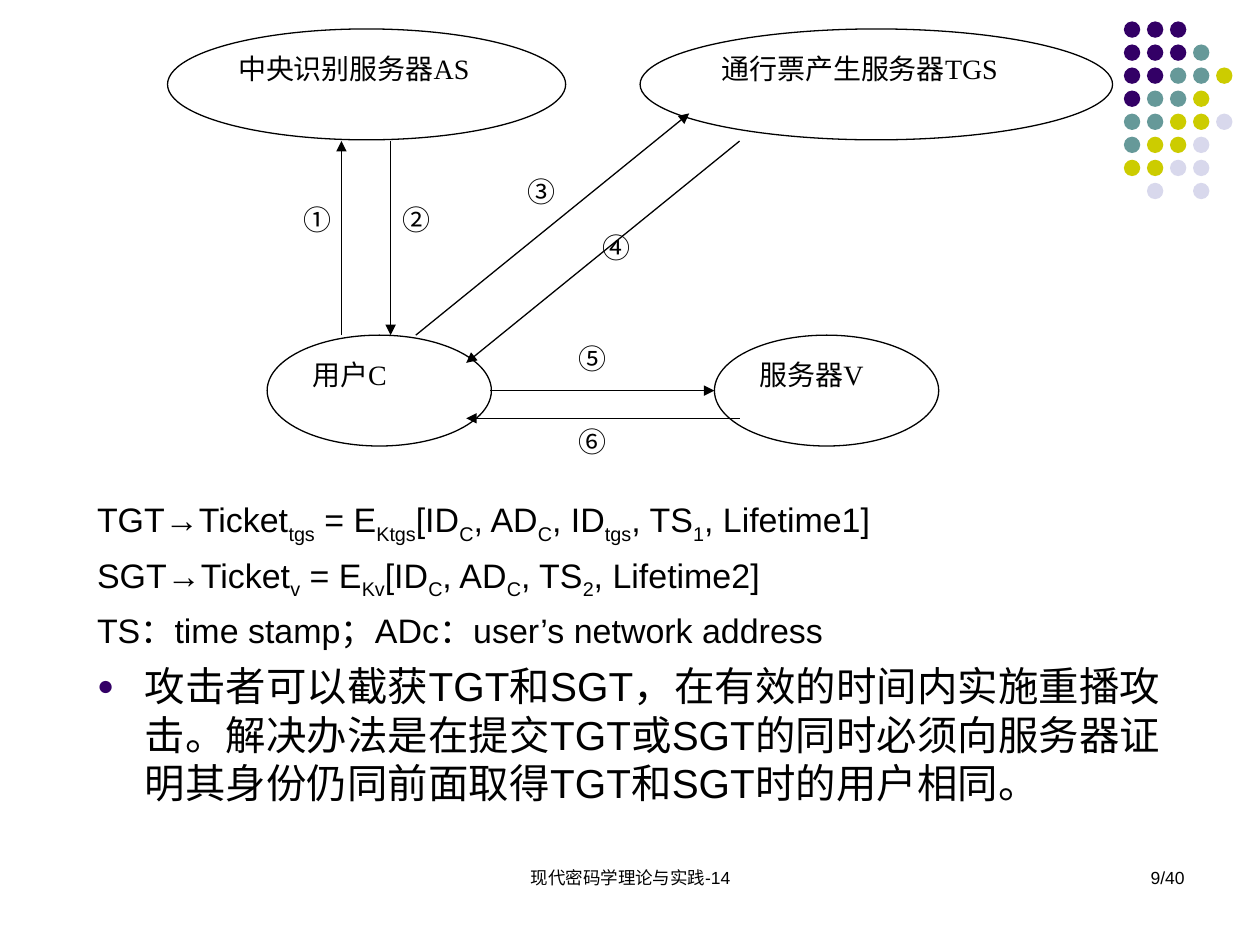
from lxml.etree import SubElement
from pptx import Presentation
from pptx.dml.color import RGBColor
from pptx.enum.shapes import MSO_CONNECTOR, MSO_SHAPE
from pptx.enum.text import MSO_ANCHOR, PP_ALIGN
from pptx.oxml.ns import qn
from pptx.util import Inches, Pt

BLACK = RGBColor(0x00, 0x00, 0x00)
WHITE = RGBColor(0xFF, 0xFF, 0xFF)
PURPLE = RGBColor(0x33, 0x00, 0x66)
TEAL = RGBColor(0x66, 0x99, 0x99)
OLIVE = RGBColor(0xCC, 0xCC, 0x00)
LAVENDER = RGBColor(0xD8, 0xD8, 0xEC)

DOT_COLORS = {"P": PURPLE, "T": TEAL, "O": OLIVE, "L": LAVENDER}
DOT_ROWS = ["PPP", "PPPT", "PPTTO", "PTTO", "TTOOL", "TOOL", "OOLL", " L L"]
DOT_LEFT, DOT_TOP, DOT_STEP, DOT_SIZE = 8.92, 0.17, 0.183, 0.13

FOOTERS = [
    ("现代密码学理论与实践-14", 3.42, 3.17, PP_ALIGN.CENTER),
    ("9/40", 7.17, 2.33, PP_ALIGN.RIGHT),
]
FORMULAS = [
    "TGT→Ticket|tgs| = E|Ktgs|[ID|C|, AD|C|, ID|tgs|, TS|1|, Lifetime1]",
    "SGT→Ticket|v| = E|Kv|[ID|C|, AD|C|, TS|2|, Lifetime2]",
    "TS：time stamp；ADc：user’s network address",
]
CONCLUSION = (
    "攻击者可以截获TGT和SGT，在有效的时间内实施重播攻击。解决办法是在提交TGT或SGT的同时"
    "必须向服务器证明其身份仍同前面取得TGT和SGT时的用户相同。"
)
STEP_LABELS = [
    ("①", 2.31, 1.56), ("②", 3.1, 1.56), ("③", 4.09, 1.34),
    ("④", 4.68, 1.78), ("⑤", 4.49, 2.66), ("⑥", 4.49, 3.32),
]
PARTIES = [
    ("中央识别服务器AS", 1.33, 0.23, 3.16),
    ("通行票产生服务器TGS", 5.08, 0.23, 3.75),
    ("用户C", 2.12, 2.66, 1.78),
    ("服务器V", 5.67, 2.66, 1.78),
]
MESSAGES = [
    (2.71, 2.66, 2.71, 1.12), (3.1, 1.12, 3.1, 2.66),
    (3.3, 2.66, 5.47, 0.9), (5.87, 1.12, 3.7, 2.88),
    (3.89, 3.1, 5.67, 3.1), (5.87, 3.32, 3.7, 3.32),
]


def apply_font(font, name, size):
    """Give a font its face, size and black colour."""
    for attribute, value in {"name": name, "size": Pt(size)}.items():
        setattr(font, attribute, value)
    font.color.rgb = BLACK


def write_text(shape, text, name, size, alignment):
    """Fill a shape with one line of top-anchored text."""
    frame = shape.text_frame
    frame.word_wrap = True
    frame.vertical_anchor = MSO_ANCHOR.TOP
    paragraph = frame.paragraphs[0]
    paragraph.alignment = alignment
    run = paragraph.add_run()
    run.text = text
    apply_font(run.font, name, size)
    return run


def add_plain_shape(slide, kind, box, fill, outlined=False):
    """Add a flat preset shape, outlined in black if asked."""
    shape = slide.shapes.add_shape(kind, *map(Inches, box))
    shape.shadow.inherit = False
    shape.fill.solid()
    shape.fill.fore_color.rgb = fill
    if outlined:
        shape.line.color.rgb = BLACK
        shape.line.width = Pt(0.75)
    else:
        shape.line.fill.background()
    return shape


def add_dots(slide):
    """Draw the corner pattern of coloured dots."""
    for row, codes in enumerate(DOT_ROWS):
        for column, code in enumerate(codes):
            if code in DOT_COLORS:
                box = (DOT_LEFT + column * DOT_STEP, DOT_TOP + row * DOT_STEP, DOT_SIZE, DOT_SIZE)
                add_plain_shape(slide, MSO_SHAPE.OVAL, box, DOT_COLORS[code])


def add_footers(slide):
    """Write the course name and the page number."""
    for text, left, width, alignment in FOOTERS:
        box = slide.shapes.add_textbox(*map(Inches, (left, 6.83, width, 0.5)))
        write_text(box, text, "Arial", 10, alignment)


def format_body_paragraph(paragraph, space, bulleted):
    """Set the hanging indent, the bullet and the space before."""
    properties = paragraph._p.get_or_add_pPr()
    properties.set("marL", str(Inches(0.38)))
    properties.set("indent", str(-Inches(0.38)))
    if bulleted:
        color = SubElement(properties, qn("a:buClr"))
        SubElement(color, qn("a:srgbClr"), val=str(PURPLE))
        SubElement(properties, qn("a:buSzPct"), val="70000")
        SubElement(properties, qn("a:buChar"), char="●")
    else:
        SubElement(properties, qn("a:buNone"))
    paragraph.space_before = Pt(space)


def fill_body(body):
    """Place the body and write the ticket formulas and the conclusion."""
    place = {"left": 0.67, "top": 3.91, "width": 8.9, "height": 2.52}
    for attribute, value in place.items():
        setattr(body, attribute, Inches(value))
    frame = body.text_frame
    frame.word_wrap = True
    frame.vertical_anchor = MSO_ANCHOR.TOP
    lines = [(text, 19.4, 5.2, False) for text in FORMULAS] + [(CONCLUSION, 23.1, 6.2, True)]
    for index, (text, size, space, bulleted) in enumerate(lines):
        paragraph = frame.add_paragraph() if index else frame.paragraphs[0]
        format_body_paragraph(paragraph, space if index else 0, bulleted)
        for position, part in enumerate(text.split("|")):
            run = paragraph.add_run()
            run.text = part
            apply_font(run.font, "Arial", size)
            if position % 2:
                run._r.get_or_add_rPr().set("baseline", "-25000")


def add_protocol(slide):
    """Draw the step labels, the parties and the messages between them."""
    for text, left, top in STEP_LABELS:
        label = add_plain_shape(slide, MSO_SHAPE.RECTANGLE, (left, top, 0.6, 0.66), WHITE)
        run = write_text(label, text, "Noto Sans CJK SC", 16, PP_ALIGN.JUSTIFY)
        SubElement(run._r.get_or_add_rPr(), qn("a:ea"), typeface="Noto Sans CJK SC")
    for text, left, top, width in PARTIES:
        party = add_plain_shape(slide, MSO_SHAPE.OVAL, (left, top, width, 0.88), WHITE, True)
        write_text(party, text, "Times New Roman", 16, PP_ALIGN.JUSTIFY)
    for ends in MESSAGES:
        arrow = slide.shapes.add_connector(MSO_CONNECTOR.STRAIGHT, *map(Inches, ends))
        arrow.line.color.rgb = BLACK
        arrow.line.width = Pt(0.75)
        SubElement(arrow.line._get_or_add_ln(), qn("a:tailEnd"), type="triangle")
        SubElement(arrow._element.spPr, qn("a:effectLst"))


def main():
    """Build the slide and save it."""
    presentation = Presentation()
    presentation.slide_width = Inches(10)
    presentation.slide_height = Inches(7.5)
    slide = presentation.slides.add_slide(presentation.slide_layouts[1])
    title = slide.shapes.title._element
    title.getparent().remove(title)
    add_dots(slide)
    add_footers(slide)
    fill_body(slide.placeholders[1])
    add_protocol(slide)
    presentation.save("out.pptx")


if __name__ == "__main__":
    main()
